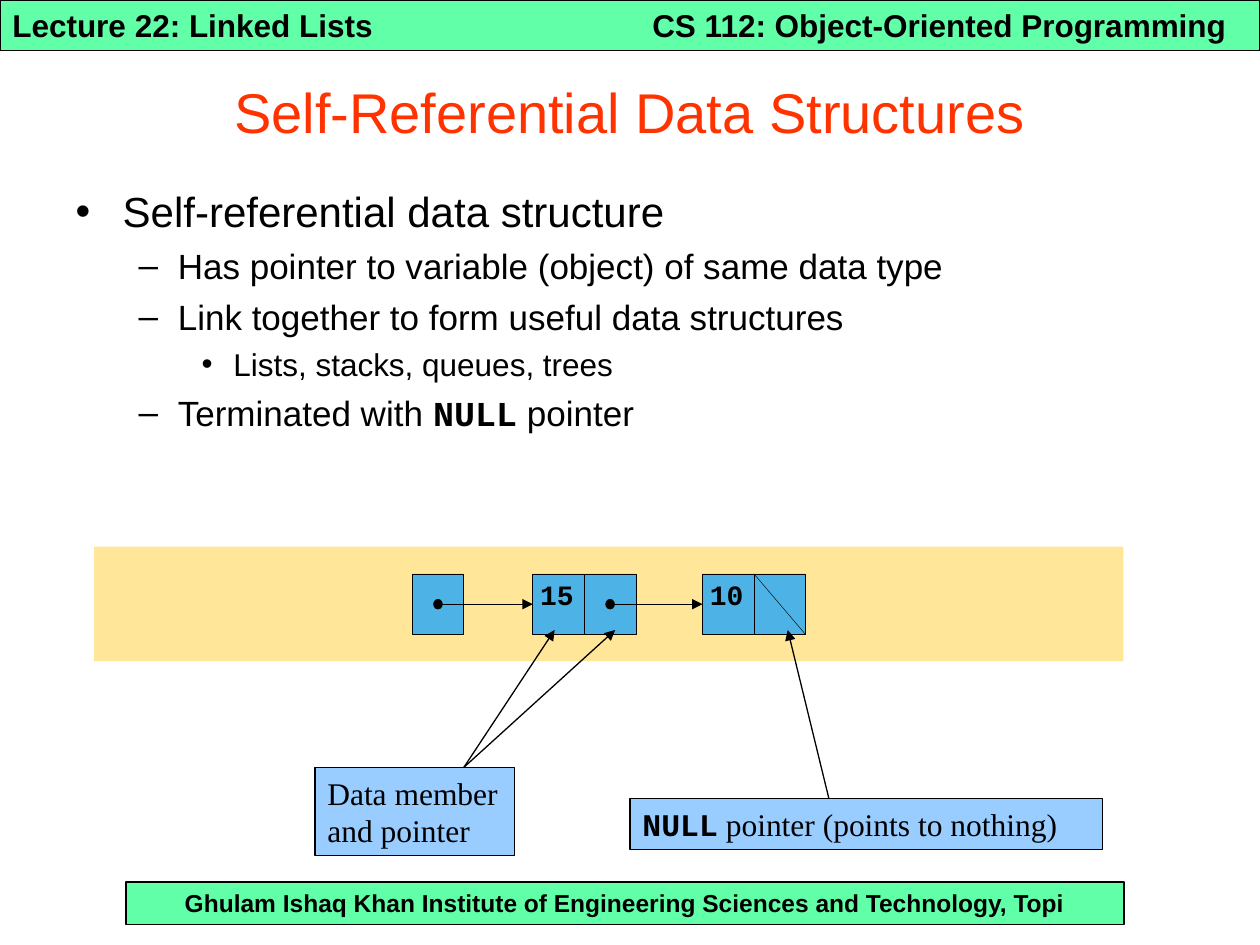
from lxml.etree import SubElement
from pptx import Presentation
from pptx.dml.color import RGBColor as RGB
from pptx.enum.shapes import MSO_CONNECTOR as Link, MSO_SHAPE as Kind
from pptx.enum.text import MSO_ANCHOR as Anchor, MSO_AUTO_SIZE as Fit, PP_ALIGN as Align
from pptx.oxml.ns import qn
from pptx.util import Cm, Pt

BLACK = RGB(0, 0, 0)
RED = RGB(0xFF, 0x33, 0x00)
GREEN = RGB(0x61, 0xFF, 0xA8)
SAND = RGB(0xFF, 0xE6, 0x99)
BLUE = RGB(0x4D, 0xB3, 0xE6)
PALE = RGB(0x99, 0xCC, 0xFF)
SANS, MONO, SERIF = "Arial", "Courier New", "Times New Roman"


class Deck:
    def __init__(self):
        self.prs = Presentation()
        self.prs.slide_width, self.prs.slide_height = Cm(25.4), Cm(19.05)
        self.slide = self.prs.slides.add_slide(self.prs.slide_layouts[1])
        self.shapes = self.slide.shapes

    def style(self, para, size, face=SANS, bold=False, color=BLACK):
        font = para.font
        font.size, font.name, font.bold = Pt(size), face, bold
        font.color.rgb = color

    def fill(self, para, parts):
        for text in parts:
            run = para.add_run()
            run.text = text
            if text == "NULL":
                run.font.name, run.font.bold = MONO, True

    def place(self, shape, x, y, w, h):
        shape.left, shape.top, shape.width, shape.height = map(Cm, (x, y, w, h))

    def title(self, text, *area):
        shape = self.shapes.title
        self.place(shape, *area)
        shape.text_frame.text = text
        self.style(shape.text_frame.paragraphs[0], 32, color=RED)

    def body(self, items, *area):
        shape = self.slide.placeholders[1]
        self.place(shape, *area)
        frame = shape.text_frame
        frame.auto_size = Fit.NONE
        looks = [(24, 0.95, 0.95, 6), (20, 2.06, 0.79, 5), (18, 3.18, 0.64, 4.5)]
        for i, (level, *parts) in enumerate(items):
            para = frame.add_paragraph() if i else frame.paragraphs[0]
            size, left, hang, gap = looks[level]
            para.level = level
            para.space_before = Pt(gap if i else 0)
            props = para._p.get_or_add_pPr()
            props.set("marL", str(Cm(left)))
            props.set("indent", str(-Cm(hang)))
            self.style(para, size)
            self.fill(para, parts)

    def shape(self, x, y, w, h, color, line=None, kind=Kind.RECTANGLE):
        shape = self.shapes.add_shape(kind, *map(Cm, (x, y, w, h)))
        shape.shadow.inherit = False
        shape.fill.solid()
        shape.fill.fore_color.rgb = color
        if line:
            shape.line.color.rgb = BLACK
            shape.line.width = Pt(line)
        else:
            shape.line.fill.background()
        return shape

    def label(self, shape, parts, size, face=SANS, bold=False, align=Align.LEFT):
        frame = shape.text_frame
        frame.word_wrap = True
        frame.auto_size = Fit.NONE
        frame.vertical_anchor = Anchor.TOP
        para = frame.paragraphs[0]
        para.alignment = align
        self.style(para, size, face, bold)
        self.fill(para, parts)
        return frame

    def text(self, x, y, w, h):
        return self.shapes.add_textbox(*map(Cm, (x, y, w, h)))

    def line(self, x1, y1, x2, y2, width, head=True, goal=None):
        line = self.shapes.add_connector(Link.STRAIGHT, *map(Cm, (x1, y1, x2, y2)))
        if goal:
            line.end_connect(goal, 1)
        line.line.color.rgb = BLACK
        line.line.width = Pt(width)
        if head:
            edge = line._element.spPr.find(qn("a:ln"))
            SubElement(edge, qn("a:tailEnd"), type="triangle")
        SubElement(line._element.spPr, qn("a:effectLst"))


def nodes(deck):
    top, wide, high = 11.57, 1.04, 1.22
    mid = top + high / 2
    lefts = [8.31, 10.74, 11.78, 14.16, 15.2]
    cells = [deck.shape(x, top, wide, high, BLUE, 0.25) for x in lefts]
    for i, value in ((1, "15"), (3, "10")):
        box = deck.text(lefts[i] + 0.15, 11.81, 0.74, 0.89)
        frame = deck.label(box, [value], 16, MONO, True)
        frame.margin_left = frame.margin_right = 0
        frame.margin_top = frame.margin_bottom = 0
        frame.paragraphs[0].line_spacing = 0.72
    for start, goal in ((0, 1), (2, 3)):
        x = lefts[start] + wide / 2
        deck.shape(x - 0.09, mid - 0.1, 0.18, 0.2, BLACK, 0.25, Kind.OVAL)
        deck.line(x, mid, lefts[goal], mid, 0.25, goal=cells[goal])
    x = lefts[-1]
    deck.line(x, top, x + wide, top + high, 0.25, head=False)


def main():
    deck = Deck()
    foot = deck.shape(2.54, 17.78, 20.12, 0.86, GREEN, 0.75)
    name = "Ghulam Ishaq Khan Institute of Engineering Sciences and Technology, Topi"
    deck.label(foot, [name], 14, bold=True, align=Align.CENTER)
    head = deck.shape(0, 0, 25.4, 1.02, GREEN, 0.75)
    deck.label(head, ["Lecture 22: Linked Lists"], 18, bold=True)
    course = deck.text(12.9, 0, 12.5, 1.02)
    deck.label(course, ["CS 112: Object-Oriented Programming"], 18, bold=True)

    deck.title("Self-Referential Data Structures", 0, 1.07, 25.4, 2.34)
    deck.body([
        (0, "Self-referential data structure"),
        (1, "Has pointer to variable (object) of same data type"),
        (1, "Link together to form useful data structures"),
        (2, "Lists, stacks, queues, trees"),
        (1, "Terminated with ", "NULL", " pointer"),
    ], 1.27, 3.61, 23.06, 14.17)

    deck.shape(1.9, 11.02, 20.75, 2.31, SAND)
    nodes(deck)

    null = deck.shape(12.7, 16.1, 9.53, 1.02, PALE, 0.75)
    deck.label(null, ["NULL", " pointer (points to nothing)"], 18, SERIF)
    deck.line(16.71, 16.1, 15.88, 12.7, 0.75)
    data = deck.shape(6.35, 15.47, 4.02, 1.78, PALE, 0.75)
    deck.label(data, ["Data member and pointer"], 18, SERIF)
    for x in (11.18, 12.4):
        deck.line(9.35, 15.47, x, 12.7, 0.75)
    deck.prs.save("out.pptx")


if __name__ == "__main__":
    main()
